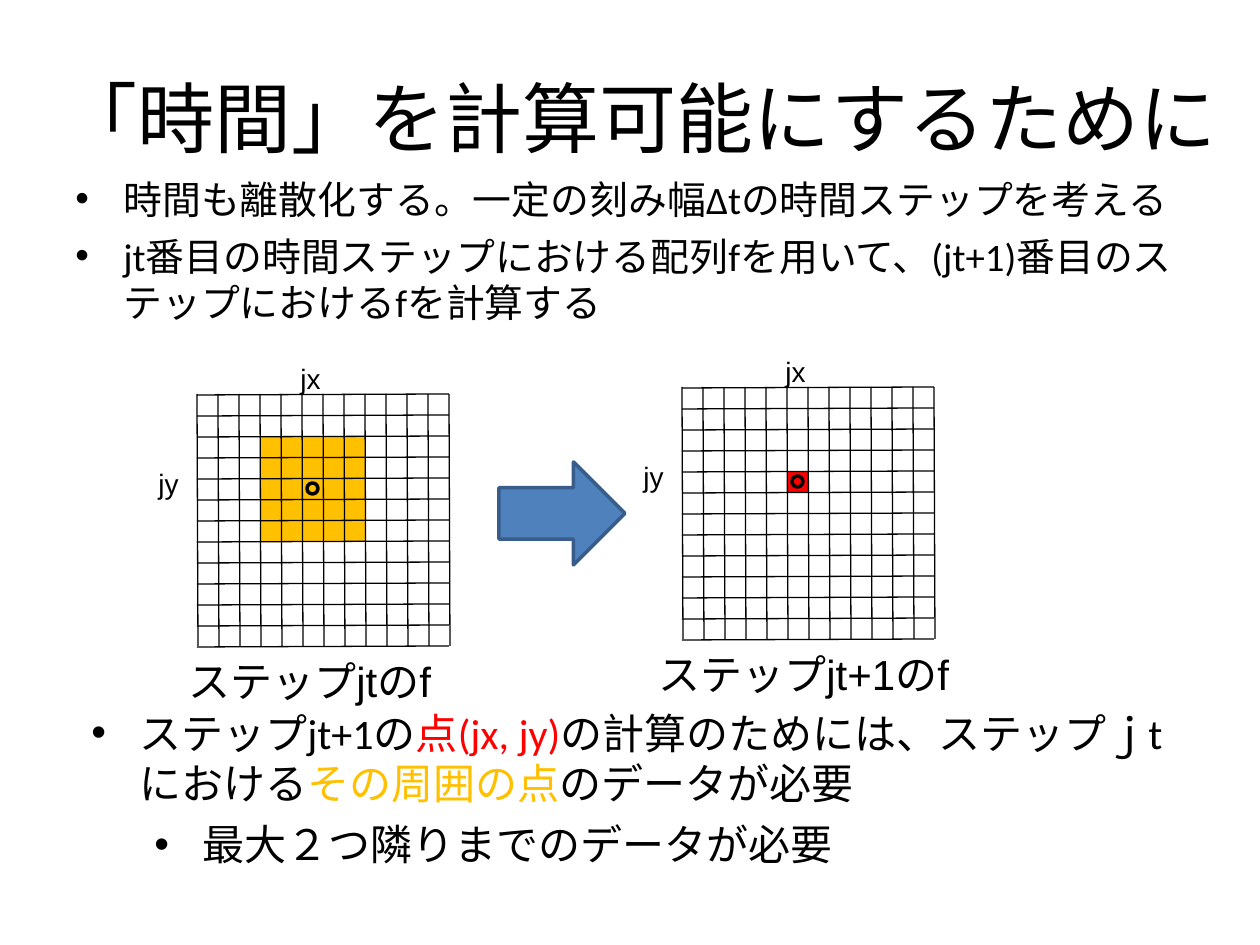
from dataclasses import dataclass

from lxml import etree
from pptx import Presentation
from pptx.dml.color import RGBColor
from pptx.enum.shapes import MSO_CONNECTOR, MSO_SHAPE
from pptx.enum.text import MSO_ANCHOR, MSO_AUTO_SIZE, PP_ALIGN
from pptx.oxml.ns import qn
from pptx.util import Emu, Pt

RECT, OVAL, ARROW = MSO_SHAPE.RECTANGLE, MSO_SHAPE.OVAL, MSO_SHAPE.RIGHT_ARROW
STRAIGHT = MSO_CONNECTOR.STRAIGHT
MIDDLE, CENTER = MSO_ANCHOR.MIDDLE, PP_ALIGN.CENTER
GROW = MSO_AUTO_SIZE.SHAPE_TO_FIT_TEXT

PX_PER_INCH = 126
CELL, CELLS = 21, 12
SLANT = 1
POINT_COL, POINT_ROW = 5, 4
RING = 11
HANG = 48
LEVEL_STEP = 63


@dataclass(frozen=True)
class Theme:
    black: str = "000000"
    red: str = "FF0000"
    amber: str = "FFC000"
    blue: str = "4F81BD"
    navy: str = "385D8A"
    body_font: str = "Calibri"
    label_font: str = "Arial"
    title: float = 44
    body: float = 22.2
    note: float = 24
    caption: float = 24
    index: float = 16
    grid_line: float = 0.75
    outline: float = 2
    para_gap: float = 6


def px(n):
    return Emu(round(n * 914400 / PX_PER_INCH))


def rgb(color):
    return RGBColor.from_string(color)


class Deck:
    def __init__(self, prs, theme):
        self.t = theme
        self.s = prs.slides.add_slide(prs.slide_layouts[6])

    def shape(self, kind, x, y, w, h, fill=None, line=None):
        sp = self.s.shapes.add_shape(kind, px(x), px(y), px(w), px(h))
        sp.shadow.inherit = False
        if fill:
            sp.fill.solid()
            sp.fill.fore_color.rgb = rgb(fill)
        else:
            sp.fill.background()
        if line:
            sp.line.color.rgb = rgb(line)
            sp.line.width = Pt(self.t.outline)
        else:
            sp.line.fill.background()

    def frame(self, x, y, w, h):
        tf = self.s.shapes.add_textbox(px(x), px(y), px(w), px(h)).text_frame
        tf.word_wrap = True
        return tf

    def style(self, r, size, font, color=None):
        r.font.size = Pt(size)
        r.font.name = font
        r.font.color.rgb = rgb(color or self.t.black)

    def title(self, text, x, y, w, h):
        tf = self.frame(x, y, w, h)
        tf.vertical_anchor = MIDDLE
        tf.text = text
        p = tf.paragraphs[0]
        p.alignment = CENTER
        self.style(p.runs[0], self.t.title, self.t.body_font)

    def label(self, text, x, y, w, h, size):
        tf = self.frame(x, y, w, h)
        tf.word_wrap = False
        tf.auto_size = GROW
        tf.text = text
        self.style(tf.paragraphs[0].runs[0], size, self.t.label_font)

    def bullets(self, items, x, y, w, h, size):
        """Each item is (level, [(text, color or None), ...])."""
        tf = self.frame(x, y, w, h)
        for i, (level, parts) in enumerate(items):
            p = tf.add_paragraph() if i else tf.paragraphs[0]
            p.level = level
            p.space_before = Pt(self.t.para_gap)
            pPr = p._p.get_or_add_pPr()
            pPr.set("marL", str(px(HANG + level * LEVEL_STEP)))
            pPr.set("indent", str(-px(HANG)))
            etree.SubElement(pPr, qn("a:buFont")).set("typeface", self.t.label_font)
            etree.SubElement(pPr, qn("a:buChar")).set("char", "•")
            for text, color in parts:
                r = p.add_run()
                r.text = text
                self.style(r, size, self.t.body_font, color)

    def line(self, group, x1, y1, x2, y2):
        c = group.shapes.add_connector(STRAIGHT, px(x1), px(y1), px(x2), px(y2))
        c.line.color.rgb = rgb(self.t.black)
        c.line.width = Pt(self.t.grid_line)
        etree.SubElement(c._element.spPr, qn("a:effectLst"))

    def grid(self, x, y):
        """Square grid whose lines all lean by SLANT."""
        group = self.s.shapes.add_group_shape()
        side = CELL * CELLS
        for d in range(0, side + 1, CELL):
            self.line(group, x + d + SLANT, y + side, x + d, y)
            self.line(group, x + side, y + d, x, y + d + SLANT)

    def step(self, x, y, reach, color, caption, caption_x, caption_w):
        """Grid whose point (jx, jy) is ringed and coloured out to reach cells."""
        side = (2 * reach + 1) * CELL
        self.shape(RECT, x + (POINT_COL - reach) * CELL,
                   y + (POINT_ROW - reach) * CELL, side, side, fill=color)
        self.grid(x, y)
        inset = (CELL - RING) // 2
        self.shape(OVAL, x + POINT_COL * CELL + inset,
                   y + POINT_ROW * CELL + inset, RING, RING, line=self.t.black)
        self.label("jy", x - 51, y + 66, 45, 47, self.t.index)
        self.label("jx", x + 91, y - 39, 48, 47, self.t.index)
        self.label(caption, caption_x, y + 255, caption_w, 63, self.t.caption)


def main():
    prs = Presentation()
    prs.slide_width, prs.slide_height = px(1260), px(945)
    t = Theme()
    d = Deck(prs, t)

    d.title("「時間」を計算可能にするために", 43, 38, 1192, 157)
    d.bullets([
        (0, [("時間も離散化する。一定の刻み幅Δtの時間ステップを考える", None)]),
        (0, [("jt番目の時間ステップにおける配列fを用いて、"
              "(jt+1)番目のステップにおけるfを計算する", None)]),
    ], 63, 169, 1134, 186, t.body)

    d.step(197, 394, 2, t.amber, "ステップjtのf", 176, 304)
    d.shape(ARROW, 499, 462, 126, 103, t.blue, t.navy)
    d.step(682, 387, 0, t.red, "ステップjt+1のf", 646, 353)

    d.bullets([
        (0, [("ステップjt+1の", None), ("点(jx, jy)", t.red),
             ("の計算のためには、ステップｊtにおける", None),
             ("その周囲の点", t.amber), ("のデータが必要", None)]),
        (1, [("最大２つ隣りまでのデータが必要", None)]),
    ], 79, 701, 1134, 208, t.note)

    prs.save("out.pptx")


if __name__ == "__main__":
    main()
